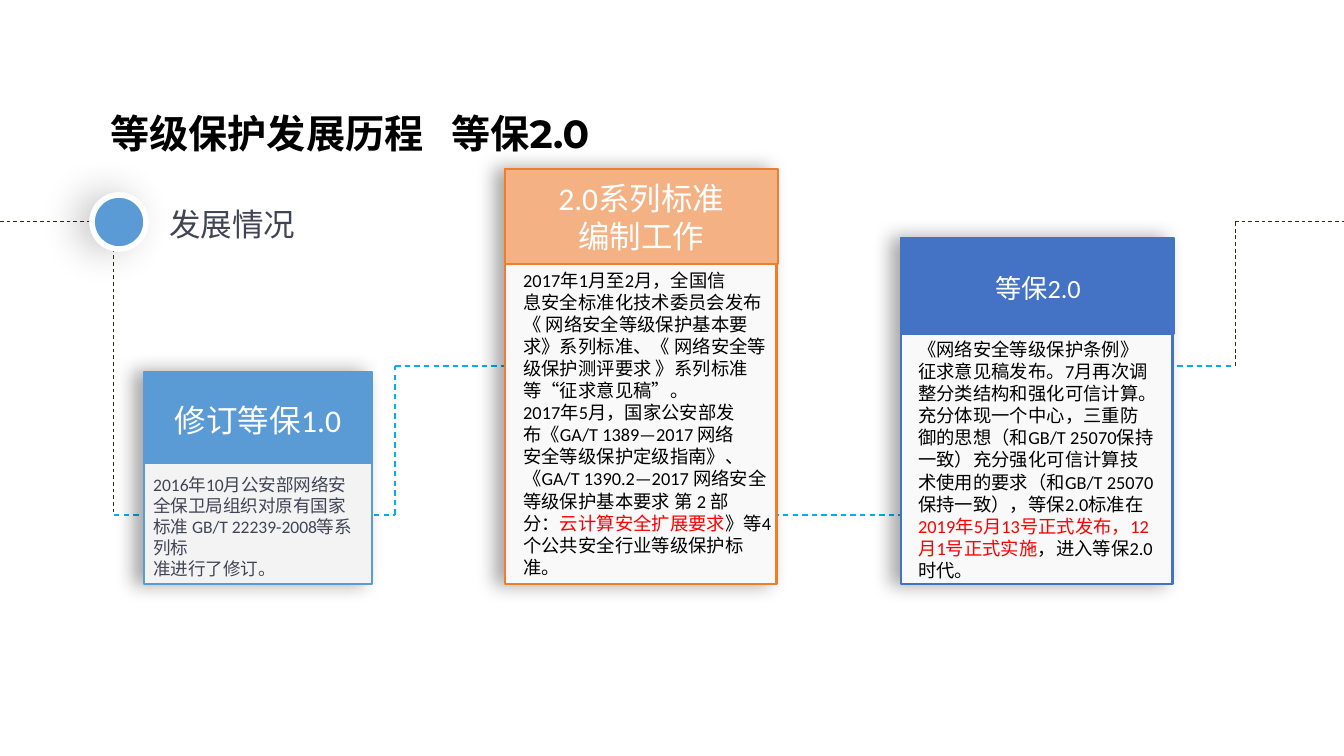
from lxml import etree
from pptx import Presentation
from pptx.dml.color import RGBColor
from pptx.enum.dml import MSO_LINE
from pptx.enum.shapes import MSO_CONNECTOR, MSO_SHAPE
from pptx.enum.text import MSO_ANCHOR, PP_ALIGN
from pptx.oxml.ns import qn
from pptx.util import Pt

RECT, OVAL = MSO_SHAPE.RECTANGLE, MSO_SHAPE.OVAL
LEFT, CENTER = PP_ALIGN.LEFT, PP_ALIGN.CENTER
TOP, MIDDLE = MSO_ANCHOR.TOP, MSO_ANCHOR.MIDDLE
W, H = 1344, 756
PX = 9144000 / W
CJK = "Noto Sans CJK SC"
C = {"black": "000000", "white": "FFFFFF", "slate": "414455", "red": "FF0000",
     "dark": "2D2A19", "cyan": "00B0F0", "sky": "5B9BD5", "orange": "ED7D31",
     "peach": "F4B183", "blue": "4472C4", "pale": "F9F9F9", "grey": "F3F3F3"}

# Content: paragraphs are lists of (text, colour) runs, \n is a line break
TITLE = [[("等级保护发展历程\t等保2.0", "black")]]
TITLE_TAB = 341
SUBTITLE = [[("发展情况", "slate")]]

# Timeline segments: colour, width in points, corner points in px
TIMELINE = [
    ("dark", 0.5, [(0, 222), (114, 222), (114, 515)]),
    ("cyan", 0.75, [(114, 515), (395, 515), (395, 366), (677, 366)]),
    ("cyan", 0.75, [(677, 515), (956, 515)]),
    ("cyan", 0.75, [(956, 366), (1235, 366)]),
    ("dark", 0.5, [(1235, 366), (1235, 222), (W, 222)]),
]

# Boxes are left, top, width, height in px
CARDS = [
    {"box": (144, 372, 228, 212), "head_h": 92, "fill": "grey", "edge": "sky",
     "head_fill": "sky", "head_line": None,
     "head": [[("修订等保1.0", "white")]], "head_size": 16.9,
     "head_box": (144, 394, 228, 51),
     "body_box": (140, 467, 232, 120), "body_size": 9.4,
     "body": [[("2016年10月公安部网络安全保卫局组织对原有国家标准 GB/T 22239-2008等系列标", "slate")],
              [("准进行了修订。", "slate")]]},
    {"box": (505, 169, 272, 415), "head_h": 95, "fill": "pale", "edge": "orange",
     "head_fill": "peach", "head_line": 1,
     "head": [[("2.0系列标准", "white")], [("编制工作", "white")]], "head_size": 16.9,
     "head_box": (505, 169, 273, 95),
     "body_box": (510, 263, 275, 327), "body_size": 9.84,
     "body": [[("2017年1月至2月，全国信\n息安全标准化技术委员会发布《 网络安全等级保护基本要求》"
                "系列标准、《 网络安全等级保护测评要求 》系列标准等“征求意见稿”。", "black")],
              [("2017年5月，国家公安部发\n布《GA/T 1389—2017 网络\n安全等级保护定级指南》、"
                "《GA/T 1390.2—2017 网络安全等级保护基本要求 第 2 部\n分：", "black"),
               ("云计算安全扩展要求", "red"),
               ("》等4个公共安全行业等级保护标\n准。", "black")]]},
    {"box": (901, 238, 272, 346), "head_h": 96, "fill": "pale", "edge": "blue",
     "head_fill": "blue", "head_line": 1.5,
     "head": [[("等保2.0", "white")]], "head_size": 14.1,
     "head_box": (921, 265, 234, 46),
     "body_box": (905, 332, 265, 259), "body_size": 9.84,
     "body": [[("《网络安全等级保护条例》征求意见稿发布。7月再次调整分类结构和强化可信计算。"
                "充分体现一个中心，三重防御的思想（和GB/T 25070保持一致）充分强化可信计算"
                "技术使用的要求（和GB/T 25070保持一致），等保2.0标准在", "black"),
               ("2019年5月13号正式发布，12月1号正式实施", "red"),
               ("，进入等保2.0时代。", "black")]]},
]


def px(*values):
    return [round(v * PX) for v in values]


def rgb(name):
    return RGBColor.from_string(C[name])


def add_shape(kind, box, fill, line=None, width=0, shadow=None):
    sp = s.shapes.add_shape(kind, *px(*box))
    sp.shadow.inherit = False
    sp.fill.solid()
    sp.fill.fore_color.rgb = rgb(fill)
    if line:
        sp.line.color.rgb = rgb(line)
        sp.line.width = Pt(width)
    else:
        sp.line.fill.background()
    if shadow:
        alpha, blur, dist = shadow
        effects = sp._element.spPr.find(qn("a:effectLst"))
        outer = etree.SubElement(effects, qn("a:outerShdw"), blurRad=str(Pt(blur)),
                                 dist=str(Pt(dist)), dir="10800000", rotWithShape="0")
        color = etree.SubElement(outer, qn("a:srgbClr"), val=C["black"])
        etree.SubElement(color, qn("a:alpha"), val=str(alpha * 1000))


def add_text(box, paragraphs, size, font="Calibri", align=LEFT, anchor=TOP,
             bold=False, wrap=True, spacing=None, tab=None):
    tf = s.shapes.add_textbox(*px(*box)).text_frame
    tf.word_wrap = wrap
    tf.vertical_anchor = anchor
    for i, runs in enumerate(paragraphs):
        p = tf.paragraphs[0] if i == 0 else tf.add_paragraph()
        if tab:
            tabs = etree.SubElement(p._p.get_or_add_pPr(), qn("a:tabLst"))
            etree.SubElement(tabs, qn("a:tab"), pos=str(px(tab)[0]), algn="l")
        p.alignment = align
        if spacing:
            p.line_spacing = spacing
        for text, color in runs:
            for j, part in enumerate(text.split("\n")):
                if j:
                    p.add_line_break()
                r = p.add_run()
                r.text = part
                r.font.size = Pt(size)
                r.font.name = font
                r.font.bold = bold
                r.font.color.rgb = rgb(color)
                etree.SubElement(r.font._element, qn("a:ea"), typeface=CJK)


def add_line(start, end, color, width):
    cx = s.shapes.add_connector(MSO_CONNECTOR.STRAIGHT, *px(*start, *end))
    cx.line.color.rgb = rgb(color)
    cx.line.width = Pt(width)
    cx.line.dash_style = MSO_LINE.DASH
    etree.SubElement(cx._element.spPr, qn("a:effectLst"))


prs = Presentation()
prs.slide_width, prs.slide_height = px(W, H)
s = prs.slides.add_slide(prs.slide_layouts[6])

# Headings
add_text((97, 101, 1159, 69), TITLE, 21, "Montserrat", anchor=MIDDLE, bold=True,
         spacing=0.9, tab=TITLE_TAB)
add_text((156, 198, 153, 51), SUBTITLE, 16.9, wrap=False)

# Dashed timeline behind the cards, with its starting dot
for color, width, points in TIMELINE:
    for start, end in zip(points, points[1:]):
        add_line(start, end, color, width)
add_shape(OVAL, (92, 195, 54, 54), "sky", "white", 3, shadow=(22, 21, 7))

# Cards: frame, coloured head, texts
for card in CARDS:
    left, top, width, _ = card["box"]
    add_shape(RECT, card["box"], card["fill"], card["edge"], 1.5, shadow=(35, 10, 5))
    add_shape(RECT, (left, top, width + 1, card["head_h"]), card["head_fill"],
              card["head_line"] and card["edge"], card["head_line"] or 0)
    add_text(card["head_box"], card["head"], card["head_size"], align=CENTER, anchor=MIDDLE)
    add_text(card["body_box"], card["body"], card["body_size"])

prs.save("out.pptx")
